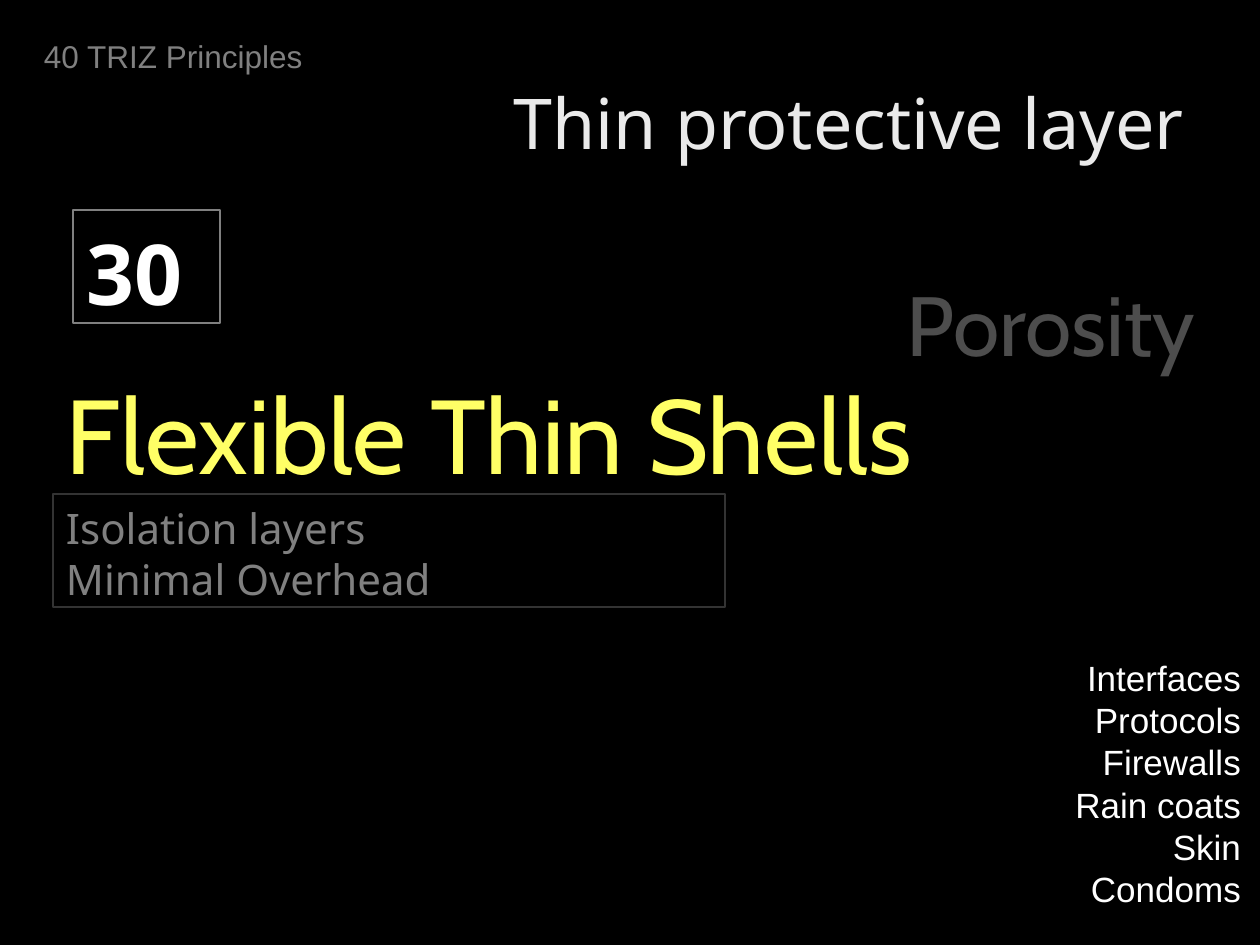
from pptx import Presentation
from pptx.dml.color import RGBColor
from pptx.enum.shapes import MSO_SHAPE
from pptx.enum.text import MSO_ANCHOR, MSO_AUTO_SIZE, PP_ALIGN
from pptx.util import Emu, Pt

PX_PER_INCH = 126
LEFT, RIGHT = PP_ALIGN.LEFT, PP_ALIGN.RIGHT
TOP, MIDDLE = MSO_ANCHOR.TOP, MSO_ANCHOR.MIDDLE
GROW = MSO_AUTO_SIZE.SHAPE_TO_FIT_TEXT
FIXED = MSO_AUTO_SIZE.NONE
RECTANGLE = MSO_SHAPE.RECTANGLE

SANS, ROUNDED, PLAIN = "Noto Sans", "Cabin", "Arial"
# Downward shift of the baseline, as a share of the text size
BASELINE_SHIFT = {SANS: 0.07, ROUNDED: 0.06, PLAIN: 0}
LINE_HEIGHT = 1.2
INSET_X, INSET_Y = 13, 6

BLACK, WHITE, YELLOW = "000000", "FFFFFF", "FFFF66"
PALE, GRAY, DIM, DARK = "EAEAEA", "808080", "4D4D4D", "333333"


def px(length):
    return Emu(round(length * 914400 / PX_PER_INCH))


def color(hex_code):
    return RGBColor.from_string(hex_code)


class PrincipleSlide:
    """Holds the text style and the slide being filled."""

    def __init__(self, deck):
        self.slide = deck.slides.add_slide(deck.slide_layouts[6])
        background = self.slide.background.fill
        background.solid()
        background.fore_color.rgb = color(BLACK)

    def set_lines(self, shape, lines, size, font, ink, align=LEFT, bold=False,
                  anchor=TOP, fit=GROW):
        """Fill a shape with one paragraph per line."""
        shift = round(size * PX_PER_INCH / 72 * BASELINE_SHIFT[font])
        frame = shape.text_frame
        frame.word_wrap = True
        frame.auto_size = fit
        frame.vertical_anchor = anchor
        frame.margin_left = frame.margin_right = px(INSET_X)
        frame.margin_top = px(INSET_Y + shift)
        frame.margin_bottom = px(INSET_Y - shift)
        for index, line in enumerate(lines):
            paragraph = frame.add_paragraph() if index else frame.paragraphs[0]
            paragraph.alignment = align
            paragraph.line_spacing = Pt(size * LINE_HEIGHT)
            run = paragraph.add_run()
            run.text = line
            run.font.name = font
            run.font.size = Pt(size)
            run.font.bold = bold
            run.font.color.rgb = color(ink)

    def text(self, box, lines, size, font, ink, **options):
        shape = self.slide.shapes.add_textbox(*map(px, box))
        self.set_lines(shape, lines, size, font, ink, **options)

    def framed_text(self, box, lines, size, font, ink, border, **options):
        shape = self.slide.shapes.add_shape(RECTANGLE, *map(px, box))
        shape.shadow.inherit = False
        shape.fill.background()
        shape.line.color.rgb = color(border)
        shape.line.width = Pt(0.75)
        self.set_lines(shape, lines, size, font, ink, **options)


def main():
    deck = Presentation()
    deck.slide_width, deck.slide_height = px(1260), px(945)
    page = PrincipleSlide(deck)

    page.text((273, 38, 924, 157), ["Thin protective layer"], 40, SANS, PALE,
              align=RIGHT, anchor=MIDDLE, fit=FIXED)
    page.text((31, 31, 315, 50), ["40 TRIZ Principles"], 18, PLAIN, GRAY)
    page.text((53, 358, 1040, 139), ["Flexible Thin Shells"], 60, ROUNDED, YELLOW)
    examples = ["Interfaces", "Protocols", "Firewalls", "Rain coats", "Skin", "Condoms"]
    page.text((735, 651, 519, 265), examples, 20, PLAIN, WHITE, align=RIGHT)
    page.framed_text((53, 494, 672, 113), ["Isolation layers", "Minimal Overhead"],
                     24, SANS, GRAY, border=DARK)
    page.framed_text((73, 210, 147, 113), ["30"], 48, SANS, WHITE,
                     border=GRAY, bold=True)
    page.text((651, 262, 557, 113), ["Porosity"], 48, ROUNDED, DIM, align=RIGHT)

    deck.save("out.pptx")


if __name__ == "__main__":
    main()
